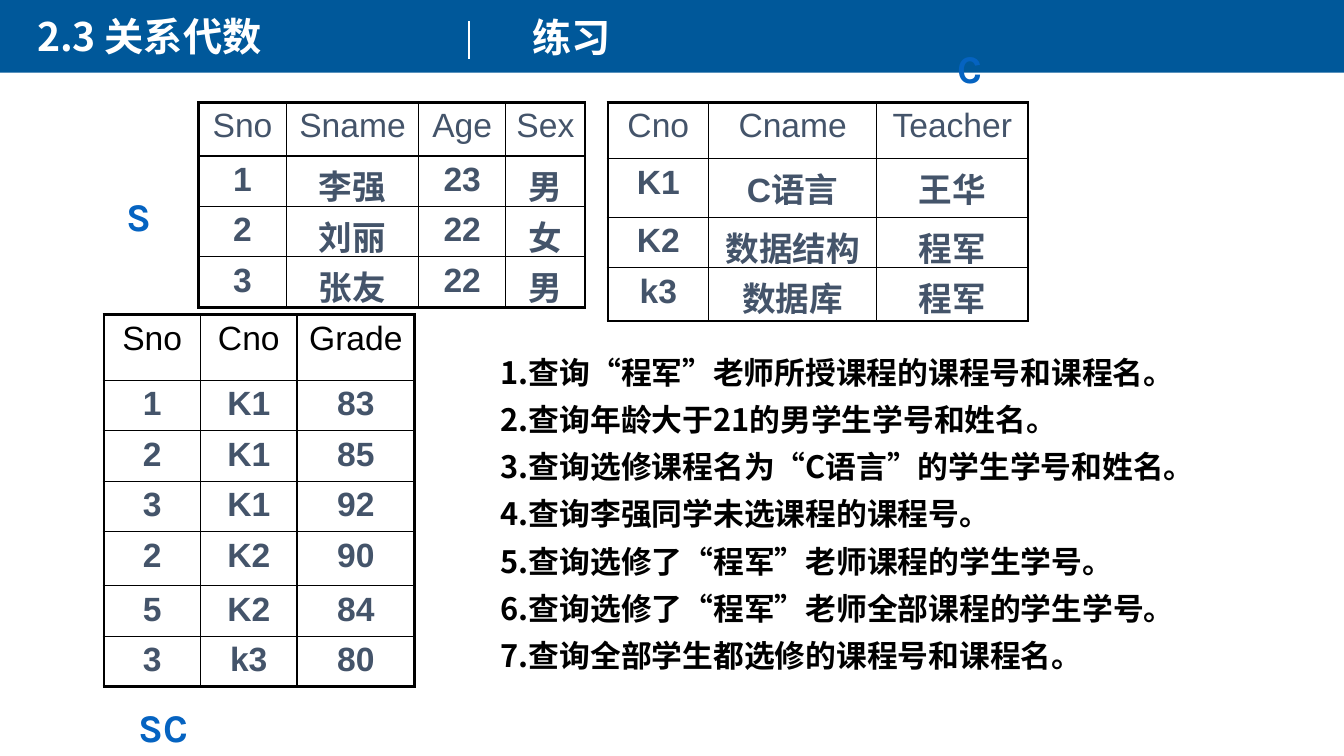
from dataclasses import dataclass

from lxml.etree import SubElement
from pptx import Presentation
from pptx.dml.color import RGBColor
from pptx.enum.shapes import MSO_CONNECTOR as Link, MSO_SHAPE as Form
from pptx.enum.text import MSO_AUTO_SIZE as Fit, PP_ALIGN as Align
from pptx.oxml.ns import qn
from pptx.util import Pt

WHITE = RGBColor(0xFF, 0xFF, 0xFF)
BLACK = RGBColor(0, 0, 0)
NAVY = RGBColor(0x00, 0x58, 0x9A)
SLATE = RGBColor(0x44, 0x54, 0x6A)
BLUE = RGBColor(0x05, 0x63, 0xC1)
SANS = "Noto Sans CJK SC"


@dataclass
class Label:
    text: str
    left: float
    top: float
    width: float
    font: str
    color: RGBColor
    align: Align = Align.LEFT
    wrap: bool = True


@dataclass
class Grid:
    left: float
    top: float
    cols: list[float]
    rows: list[float]
    data: list[str]
    head: RGBColor


LABELS = [
    Label("2.3 关系代数", 19.4, 5, 398, SANS, WHITE),
    Label("练习", 373, 5.8, 623, SANS, WHITE),
    Label("S", 82.8, 133.9, 32.4, "Karla", BLUE, Align.CENTER),
    Label("SC", 91.4, 499, 51.1, "Karla", BLUE, Align.CENTER, False),
    Label("C", 665.3, 28.1, 55.4, "Karla", BLUE, Align.CENTER),
]

GRIDS = [
    Grid(141.8, 73.2, [62.9, 94.3, 62.4, 56.5], [38.2, 36, 36, 36],
         ["Sno Sname Age Sex", "1 李强 23 男", "2 刘丽 22 女", "3 张友 22 男"], SLATE),
    Grid(434.2, 73.2, [72, 120, 108], [40.1, 42, 36, 38],
         ["Cno Cname Teacher", "K1 C语言 王华", "K2 数据结构 程军", "k3 数据库 程军"], SLATE),
    Grid(74.2, 224.9, [69, 69, 84], [46.8, 36, 36, 36, 38.6, 36, 36],
         ["Sno Cno Grade", "1 K1 83", "2 K1 85", "3 K1 92", "2 K2 90", "5 K2 84", "3 k3 80"], BLACK),
]

TASKS = [
    ("1.查询|“|程军|”|老师所授课程的课程号和课程名。", "Calibri"),
    ("2.查询年龄大于21的男学生学号和姓名。", SANS),
    ("3.查询选修课程名为|“|C语言|”|的学生学号和姓名。", "Times New Roman"),
    ("4.查询李强同学未选课程的课程号。", SANS),
    ("5.查询选修了|“|程军|”|老师课程的学生学号。", "Times New Roman"),
    ("6.查询选修了|“|程军|”|老师全部课程的学生学号。", "Times New Roman"),
    ("7.查询全部学生都选修的课程号和课程名。", SANS),
]


def style(run, size: float, color: RGBColor, face: str, bold: bool = True, east: str = SANS) -> None:
    font = run.font
    font.size, font.bold, font.name = Pt(size), bold, face
    font.color.rgb = color
    SubElement(font._element, qn("a:ea"), typeface=east)


def add_label(slide, label: Label) -> None:
    box = slide.shapes.add_textbox(Pt(label.left), Pt(label.top), Pt(label.width), Pt(41))
    frame = box.text_frame
    frame.word_wrap = label.wrap
    frame.auto_size = Fit.SHAPE_TO_FIT_TEXT
    frame.text = label.text
    line = frame.paragraphs[0]
    line.alignment = label.align
    style(line.runs[0], 28, label.color, label.font)


def add_edge(cell, side: str, width: float) -> None:
    edge = SubElement(cell._tc.get_or_add_tcPr(), qn(f"a:ln{side}"), w=str(Pt(width)))
    fill = SubElement(edge, qn("a:solidFill"))
    SubElement(fill, qn("a:srgbClr"), val=str(BLACK))


def add_grid(slide, grid: Grid) -> None:
    high, wide = len(grid.rows), len(grid.cols)
    table = slide.shapes.add_table(high, wide, Pt(grid.left), Pt(grid.top),
                                   Pt(sum(grid.cols)), Pt(sum(grid.rows))).table
    table.first_row = table.horz_banding = False
    for col, width in zip(table.columns, grid.cols):
        col.width = Pt(width)
    for row, height in zip(table.rows, grid.rows):
        row.height = Pt(height)
    for y, words in enumerate(grid.data):
        for x, word in enumerate(words.split()):
            cell = table.cell(y, x)
            rims = {"L": x == 0, "R": x == wide - 1, "T": y == 0, "B": y == high - 1}
            for side, rim in rims.items():
                add_edge(cell, side, 2.25 if rim else 1)
            cell.fill.background()
            cell.text_frame.text = word
            line = cell.text_frame.paragraphs[0]
            line.alignment = Align.CENTER
            gap = SubElement(line._p.get_or_add_pPr(), qn("a:spcBef"))
            SubElement(gap, qn("a:spcPct"), val="20000")
            style(line.runs[0], 24, SLATE if y else grid.head, "Arial", y > 0)


def add_tasks(slide) -> None:
    box = slide.shapes.add_textbox(Pt(350.6), Pt(252), Pt(545), Pt(257))
    frame = box.text_frame
    frame.word_wrap = True
    frame.auto_size = Fit.TEXT_TO_FIT_SHAPE
    for i, (text, face) in enumerate(TASKS):
        line = frame.add_paragraph() if i else frame.paragraphs[0]
        line.line_spacing, line.space_before = 0.9, Pt(10)
        props = line._p.get_or_add_pPr()
        props.set("marL", str(Pt(18)))
        props.set("indent", str(Pt(-18)))
        for part in text.split("|"):
            run = line.add_run()
            run.text = part
            style(run, 22, BLACK, face if part in "“”" else SANS)


def add_bar(slide) -> None:
    bar = slide.shapes.add_shape(Form.RECTANGLE, Pt(0), Pt(-1.4), Pt(960), Pt(53.3))
    bar.shadow.inherit = False
    bar.fill.solid()
    bar.fill.fore_color.rgb = NAVY
    bar.line.fill.background()


def add_rule(slide) -> None:
    rule = slide.shapes.add_connector(Link.STRAIGHT, Pt(334.8), Pt(15.1), Pt(334.8), Pt(42.5))
    rule.line.color.rgb = WHITE
    rule.line.width = Pt(1.5)
    SubElement(rule._element.spPr, qn("a:effectLst"))


def main() -> None:
    deck = Presentation()
    deck.slide_width, deck.slide_height = Pt(960), Pt(540)
    slide = deck.slides.add_slide(deck.slide_layouts[6])
    add_bar(slide)
    for label in LABELS[:2]:
        add_label(slide, label)
    add_rule(slide)
    for grid in GRIDS:
        add_grid(slide, grid)
    for label in LABELS[2:]:
        add_label(slide, label)
    add_tasks(slide)
    deck.save("out.pptx")


if __name__ == "__main__":
    main()
